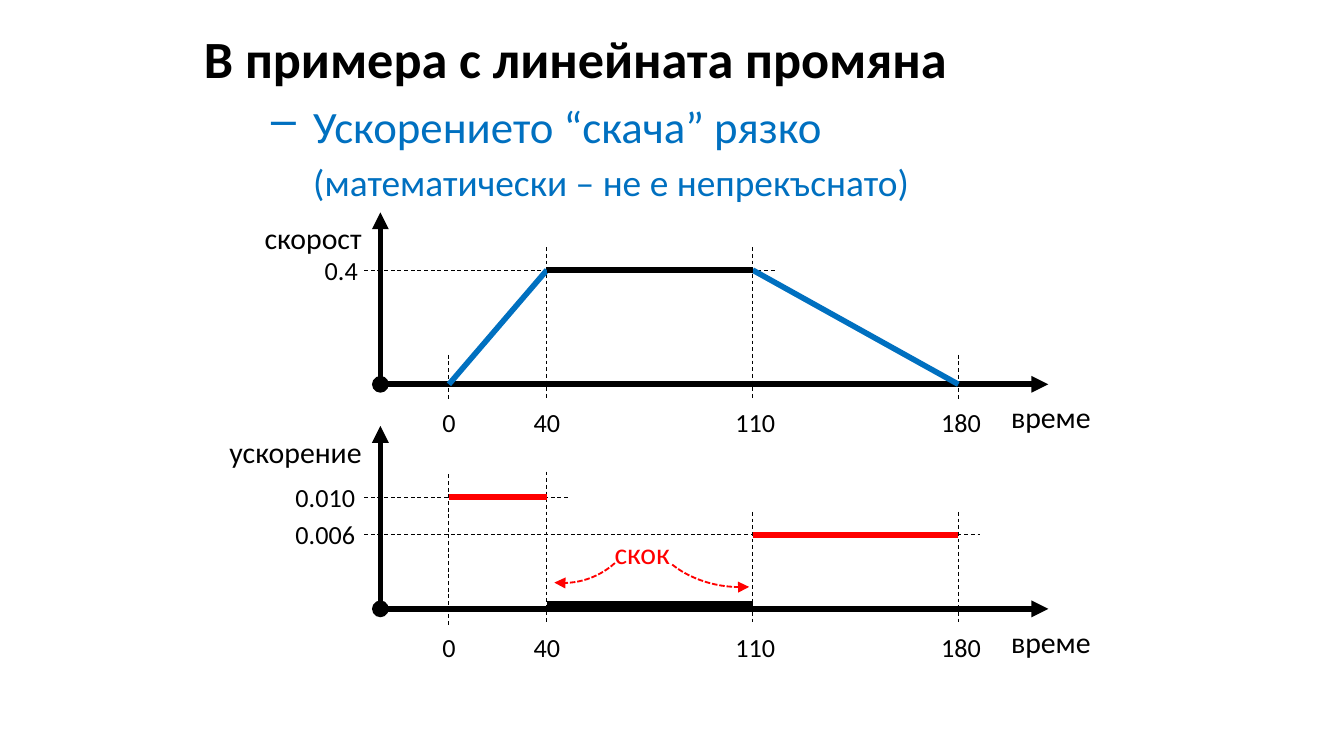
"""Build a slide that plots speed and acceleration over time."""
from lxml import etree
from pptx import Presentation
from pptx.dml.color import RGBColor
from pptx.enum.dml import MSO_LINE
from pptx.enum.shapes import MSO_CONNECTOR, MSO_SHAPE
from pptx.enum.text import PP_ALIGN
from pptx.oxml.ns import qn
from pptx.util import Pt

BLACK = RGBColor(0, 0, 0)
BLUE = RGBColor(0x00, 0x70, 0xC0)
RED = RGBColor(0xFF, 0, 0)
DASH, DOT = MSO_LINE.DASH, MSO_LINE.SQUARE_DOT
STRAIGHT, ARC = MSO_CONNECTOR.STRAIGHT, MSO_SHAPE.ARC
LEFT, MID, RIGHT = PP_ALIGN.LEFT, PP_ALIGN.CENTER, PP_ALIGN.RIGHT

AXIS_X, AXIS_END, GUIDE_X = 203.8, 561.6, 195.1
TIMES = {0: 240.5, 40: 293, 110: 403.2, 180: 513.4}
SPEED_Y, SPEED_TOP, FAST_Y = 205.9, 113.8, 144.7
ACCEL_Y, ACCEL_TOP, RISE_Y, FALL_Y = 326.2, 228.2, 266.4, 286.6


def add_tip(ln, end, kind):
    """Put an arrowhead of a kind on one end of a line."""
    etree.SubElement(ln, qn(f"a:{end}End")).set("type", kind)


def draw_line(slide, start, stop, color=BLACK, width=3, dash=None, tips=()):
    """Draw a straight line from start to stop."""
    line = slide.shapes.add_connector(STRAIGHT, *map(Pt, (*start, *stop)))
    line.line.color.rgb = color
    line.line.width = Pt(width)
    if dash:
        line.line.dash_style = dash
    for end, kind in tips:
        add_tip(line.line._get_or_add_ln(), end, kind)
    etree.SubElement(line._element.spPr, qn("a:effectLst"))


def draw_guide(slide, start, stop):
    """Draw a thin dashed guide."""
    draw_line(slide, start, stop, width=0.5, dash=DASH)


def draw_arc(slide, box, angles, flip=False):
    """Draw a dashed red arc with an arrowhead."""
    arc = slide.shapes.add_shape(ARC, *map(Pt, box))
    arc.shadow.inherit = False
    arc.fill.background()
    for i, angle in enumerate(angles):
        arc.adjustments[i] = angle
    if flip:
        arc._element.spPr.xfrm.set("flipH", "1")
    arc.line.color.rgb = RED
    arc.line.width = Pt(1)
    arc.line.dash_style = DOT
    add_tip(arc.line._get_or_add_ln(), "tail", "triangle")


def write_line(para, text, align=LEFT, **style):
    """Write one formatted run into a paragraph."""
    para.alignment = align
    run = para.add_run()
    run.text = text
    color = style.pop("color", BLACK)
    for name, value in {"name": "Calibri", **style}.items():
        setattr(run.font, name, value)
    run.font.color.rgb = color


def add_label(slide, box, text, size=14, align=MID, wrap=True, color=BLACK):
    """Add a short label in its own box."""
    frame = slide.shapes.add_textbox(*map(Pt, box)).text_frame
    frame.word_wrap = wrap
    write_line(frame.paragraphs[0], text, align, size=Pt(size), color=color)


def add_name(slide, box, text, color=BLACK):
    """Add a larger label that does not wrap."""
    add_label(slide, (*box, 26.6), text, 16, wrap=False, color=color)


def add_head(slide):
    """Add the heading with its indented lines."""
    frame = slide.shapes.add_textbox(*map(Pt, (102.2, 10.8, 617.8, 372.2))).text_frame
    frame.word_wrap = True
    rows = [
        ("В примера с линейната промяна", 28, BLACK, True, 0, 0, None),
        ("Ускорението “скача” рязко", 24, BLUE, False, 58.5, -22.5, "–"),
        ("(математически – не е непрекъснато)", 20, BLUE, False, 58.5, 0, None),
    ]
    for i, (text, size, color, bold, left, hang, mark) in enumerate(rows):
        para = frame.add_paragraph() if i else frame.paragraphs[0]
        write_line(para, text, size=Pt(size), color=color, bold=bold)
        para.space_before = Pt(size * 0.2)
        props = para._p.get_or_add_pPr()
        props.set("marL", str(Pt(left)))
        props.set("indent", str(Pt(hang)))
        if mark:
            etree.SubElement(props, qn("a:buChar")).set("char", mark)


def add_axes(slide, base, top, title, left, width):
    """Draw both axes of a plot with their names and times."""
    zero = (AXIS_X, base)
    tip = ("tail", "triangle")
    draw_line(slide, zero, (AXIS_END, base), tips=[("head", "oval"), tip])
    draw_line(slide, zero, (AXIS_X, top), tips=[tip])
    add_name(slide, (left, top + 0.4, width), title)
    add_name(slide, (534.2, base + 4.3, 57.6), "време")
    for time, x in TIMES.items():
        width, shift = (47.5, 1.4) if time > 99 else (36, 0)
        add_label(slide, (x + shift - width / 2, base + 8.3, width, 24.5), str(time))


def add_ticks(slide, base, tops):
    """Draw the upright guides of a plot."""
    for x, top in zip(TIMES.values(), tops):
        draw_guide(slide, (x, top), (x, base + 8.4))


def add_speed(slide):
    """Draw the speed plot."""
    start, rise, fall, stop = TIMES.values()
    draw_guide(slide, (GUIDE_X, FAST_Y), (415.4, FAST_Y))
    add_axes(slide, SPEED_Y, SPEED_TOP, "скорост", 133.9, 67.7)
    add_label(slide, (159.1, FAST_Y - 12.2, 47.5, 24.5), "0.4")
    add_ticks(slide, SPEED_Y, (190.1, 132.5, 132.5, 190.1))
    draw_line(slide, (start, SPEED_Y), (rise, FAST_Y), BLUE)
    draw_line(slide, (fall, FAST_Y), (stop, SPEED_Y), BLUE)
    draw_line(slide, (rise, FAST_Y), (fall, FAST_Y))


def add_accel(slide):
    """Draw the acceleration plot."""
    start, rise, fall, stop = TIMES.values()
    add_axes(slide, ACCEL_Y, ACCEL_TOP, "ускорение", 115.2, 86.4)
    add_ticks(slide, ACCEL_Y, (254.2, 252.7, 274.3, 274.3))
    levels = [("0.010", RISE_Y, start, rise, 305.3), ("0.006", FALL_Y, fall, stop, 524.9)]
    for text, y, left, right, end in levels:
        draw_guide(slide, (GUIDE_X, y), (end, y))
        add_label(slide, (131.8, y - 12.2, 65.5, 24.5), text, align=RIGHT)
        draw_line(slide, (left, y), (right, y), RED)
    draw_line(slide, (rise, 323.3), (fall, 323.3))
    draw_arc(slide, (260.6, 235.4, 81.4, 77), (26.77, 57.83))
    draw_arc(slide, (346.3, 237.6, 101.5, 77), (21.34, 57.83), flip=True)
    add_name(slide, (321.8, 283, 44.6), "скок", RED)


def main():
    """Build and save the slide."""
    deck = Presentation()
    deck.slide_width, deck.slide_height = Pt(720), Pt(405)
    slide = deck.slides.add_slide(deck.slide_layouts[6])
    add_head(slide)
    add_speed(slide)
    add_accel(slide)
    deck.save("out.pptx")


main()
